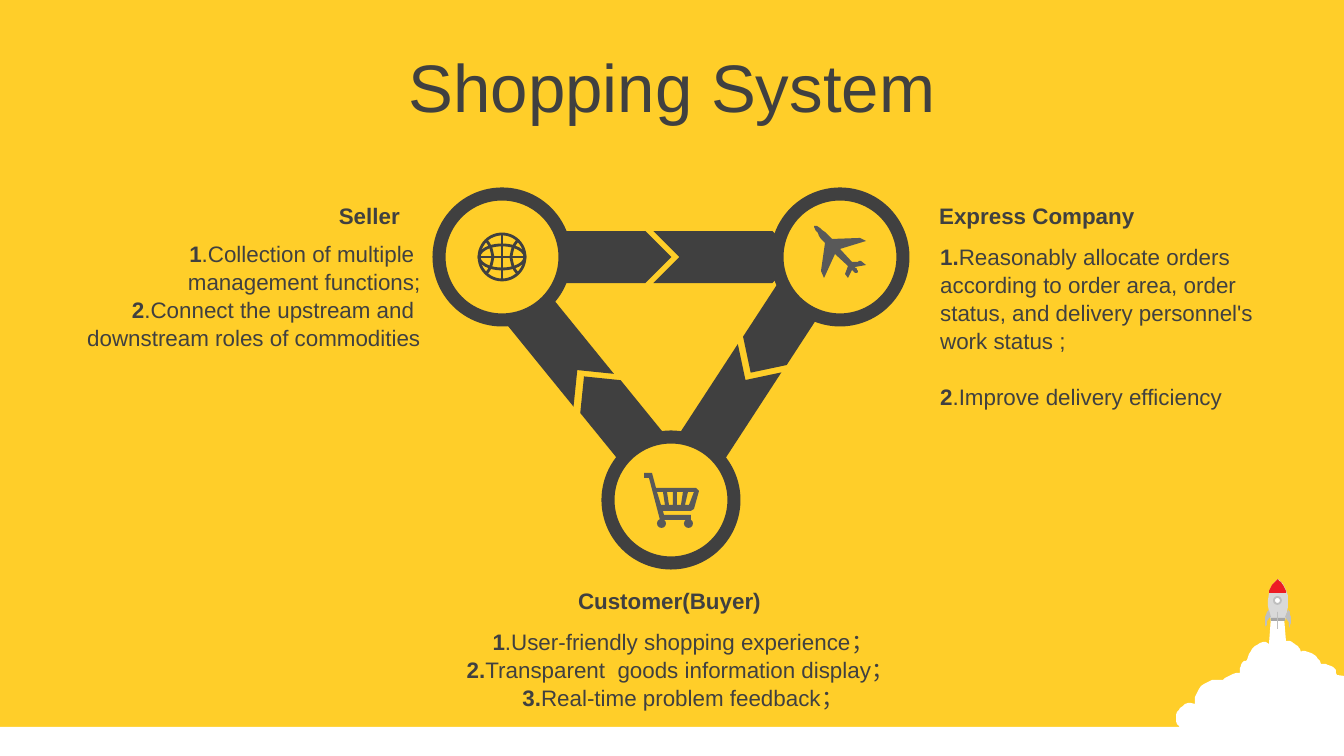
from pptx import Presentation
from pptx.dml.color import RGBColor
from pptx.enum.shapes import MSO_CONNECTOR, MSO_SHAPE
from pptx.enum.text import MSO_ANCHOR, PP_ALIGN
from pptx.oxml.ns import qn
from pptx.util import Pt
from lxml import etree

OVAL, RECT = MSO_SHAPE.OVAL, MSO_SHAPE.RECTANGLE
PLATE, CHEVRON = MSO_SHAPE.PENTAGON, MSO_SHAPE.CHEVRON
LEFT, MID, RIGHT = PP_ALIGN.LEFT, PP_ALIGN.CENTER, PP_ALIGN.RIGHT
STRAIGHT = MSO_CONNECTOR.STRAIGHT
PX = 914400 / 134.4
WIDE, HIGH = 1344, 756
GOLD, DARK, GREY, WHITE = "FFCE29", "404040", "595959", "FFFFFF"
PALE, SILVER, STEEL, RED = "D9D9D9", "BFBFBF", "A6A6A6", "ED1C24"

TITLE = "Shopping System"
ROLES = [
    ("Seller", (69, 194, 344, 40), (48, 232, 386, 149), RIGHT, 0, [
        ("1", ".Collection of multiple "), ("", "management functions;"),
        ("2", ".Connect the upstream and "),
        ("", "downstream roles of commodities")]),
    ("Express Company", (926, 194, 380, 40), (927, 235, 380, 149), LEFT, 14.5, [
        ("1.", "Reasonably allocate orders according to order area, order "
               "status, and delivery personnel's work status ;"),
        ("2", ".Improve delivery efficiency")]),
    ("Customer(Buyer)", (421, 579, 497, 40), (392, 620, 582, 95), MID, 0, [
        ("1", ".User-friendly shopping experience；"),
        ("2.", "Transparent  goods information display； "),
        ("3.", "Real-time problem feedback；")]),
]
LEGS = [((626, 428), (548, 334), 230.9),
        ((787, 317), (720, 419), 123.1),
        ((605, 257), (726, 257), 0)]
RINGS = [(439, 194), (608, 437), (777, 194)]
RING = 126

CLOUD = [
    (1271, 617), (1284, 617), (1286, 641), (1289, 641),
    (1293, 642, 1297, 645, 1300, 649), (1301, 652), (1302, 651),
    (1310, 651, 1318, 656, 1321, 664), (1323, 664),
    (1331, 664, 1336, 668, 1337, 675), (1344, 676), (1344, 754),
    (1255, 754), (1227, 741), (1200, 731), (1191, 732),
    (1183, 732, 1176, 726, 1176, 718), (1176, 710, 1183, 703, 1191, 703),
    (1195, 704), (1195, 702), (1195, 689, 1204, 680, 1217, 680),
    (1223, 680), (1228, 675, 1234, 673, 1240, 673), (1240, 669),
    (1240, 665, 1243, 661, 1247, 660), (1248, 657),
    (1250, 649, 1258, 642, 1266, 642), (1269, 644)]
BODY = [(1271, 621), (1269, 609, 1263, 591, 1278, 579),
        (1293, 593, 1288, 610, 1285, 621)]
NOSE = [(1278, 579), (1282, 583, 1285, 587, 1286, 593), (1269, 593),
        (1270, 587, 1273, 583, 1278, 579)]
FINS = [
    [(1269, 610), (1271, 617), (1266, 620, 1267, 626, 1266, 629),
     (1265, 625, 1263, 615, 1269, 610)],
    [(1288, 610), (1285, 617), (1289, 620, 1289, 626, 1290, 629),
     (1290, 625, 1293, 615, 1288, 610)]]
PLANE = [
    (866, 265), (855, 267), (856, 269, 859, 271, 857, 273),
    (856, 274, 853, 271, 852, 270), (848, 278), (845, 274), (848, 266),
    (835, 254), (824, 278), (821, 271), (825, 243),
    (821, 238, 813, 228, 814, 226), (817, 224, 827, 234, 832, 239),
    (860, 238), (866, 241), (840, 249), (852, 262),
    (855, 262, 861, 261, 861, 261)]
CART = [
    [(644, 473), (652, 473), (656, 488), (696, 488), (699, 491), (694, 509),
     (691, 511), (663, 511), (664, 515), (691, 515), (691, 520), (660, 520),
     (649, 478), (644, 478)],
    [(688, 492), (685, 505), (689, 505), (694, 492)],
    [(677, 492), (677, 505), (681, 505), (683, 492)],
    [(667, 492), (669, 505), (673, 505), (673, 492)],
    [(657, 492), (661, 505), (665, 505), (663, 492)]]
WHEELS = [(657, 519), (684, 519)]
GLOBE = (502, 257)


def emu(n):
    return round(n * PX)


def color(code):
    return RGBColor.from_string(code)


def paint(item, fill=None, line=None, width=1):
    item.shadow.inherit = False
    if fill:
        item.fill.solid()
        item.fill.fore_color.rgb = color(fill)
    else:
        item.fill.background()
    if line:
        item.line.color.rgb = color(line)
        item.line.width = Pt(width)
    else:
        item.line.fill.background()
    return item


def shape(kind, x, y, w, h, fill=None, line=None, width=1, turn=0):
    item = slide.shapes.add_shape(kind, emu(x), emu(y), emu(w), emu(h))
    item.rotation = turn
    return paint(item, fill, line, width)


def trace(steps):
    dots = [steps[0]]
    for step in steps[1:]:
        if len(step) == 2:
            dots.append(step)
            continue
        (a, b), (c, d, e, f, g, h) = dots[-1], step
        for i in range(1, 9):
            t = i / 8
            u = 1 - t
            p, q, r, s = u ** 3, 3 * u * u * t, 3 * u * t * t, t ** 3
            dots.append((p * a + q * c + r * e + s * g,
                         p * b + q * d + r * f + s * h))
    return dots


def draw(loops, close=True, **look):
    pen = None
    for loop in loops:
        dots = trace(loop)
        if pen is None:
            pen = slide.shapes.build_freeform(*dots[0], scale=PX)
        else:
            pen.move_to(*dots[0])
        pen.add_line_segments(dots[1:], close=close)
    return paint(pen.convert_to_shape(), **look)


def wire(x, y, right, low):
    item = slide.shapes.add_connector(
        STRAIGHT, emu(x), emu(y), emu(right), emu(low))
    item.line.color.rgb = color(DARK)
    item.line.width = Pt(1.5)
    etree.SubElement(item._element.spPr, qn("a:effectLst"))


def write(frame, rows, size=12, align=MID, gap=0, space=1.05):
    frame.word_wrap = True
    for i, row in enumerate(rows):
        para = frame.add_paragraph() if i else frame.paragraphs[0]
        para.alignment = align
        para.line_spacing = space
        para.space_before = Pt(gap if i else 0)
        for bold, words in zip((True, False), row):
            if words:
                run = para.add_run()
                run.text = words
                font = run.font
                font.name, font.size, font.bold = "Arial", Pt(size), bold
                font.color.rgb = color(DARK)


def place(item, x, y, w, h):
    item.left, item.top, item.width, item.height = map(emu, (x, y, w, h))


def label(box, rows, **look):
    item = slide.shapes.add_textbox(*map(emu, box))
    write(item.text_frame, rows, **look)


deck = Presentation()
deck.slide_width, deck.slide_height = emu(WIDE), emu(HIGH)
slide = deck.slides.add_slide(deck.slide_layouts[5])
slide.background.fill.solid()
slide.background.fill.fore_color.rgb = color(GOLD)

title = slide.shapes.title
place(title, 0, 43, WIDE, 85)
title.text_frame.vertical_anchor = MSO_ANCHOR.MIDDLE
write(title.text_frame, [("", TITLE)], size=36, space=1)

shape(RECT, 0, 727, WIDE, HIGH - 727, WHITE)
draw([CLOUD], fill=WHITE)
draw([BODY], fill=PALE)
shape(RECT, 1271, 618, 14, 3, STEEL)
draw([NOSE], fill=RED)
shape(OVAL, 1274, 597, 7, 7, WHITE, SILVER)
shape(RECT, 1277, 612, 1, 17, SILVER)
for fin in FINS:
    draw([fin], fill=SILVER)

for *mids, turn in LEGS:
    for kind, wide, (x, y) in zip((PLATE, CHEVRON), (133, 145), mids):
        shape(kind, x - wide / 2, y - 26, wide, 52, DARK, turn=turn)
for x, y in RINGS:
    shape(OVAL, x, y, RING, RING, GOLD, DARK, 7)

x, y = GLOBE
for w, h in ((23, 23), (23, 12)):
    shape(OVAL, x - w, y - h, 2 * w, 2 * h, line=DARK, width=1.5)
wire(x - 23, y, x + 23, y)
wire(x, y - 23, x, y + 23)
for side in (-1, 1):
    far, near = x + 16 * side, x + 7 * side
    draw([[(far, y - 17), (near, y - 8, near, y + 8, far, y + 17)]],
         close=False, line=DARK, width=1.5)
draw(CART, fill=GREY)
for x, y in WHEELS:
    shape(OVAL, x, y, 9, 9, GREY)
draw([PLANE], fill=GREY)

for name, head, box, align, gap, rows in ROLES:
    label(head, [(name,)], align=align)
    label(box, rows, align=align, gap=gap)

deck.save("out.pptx")
